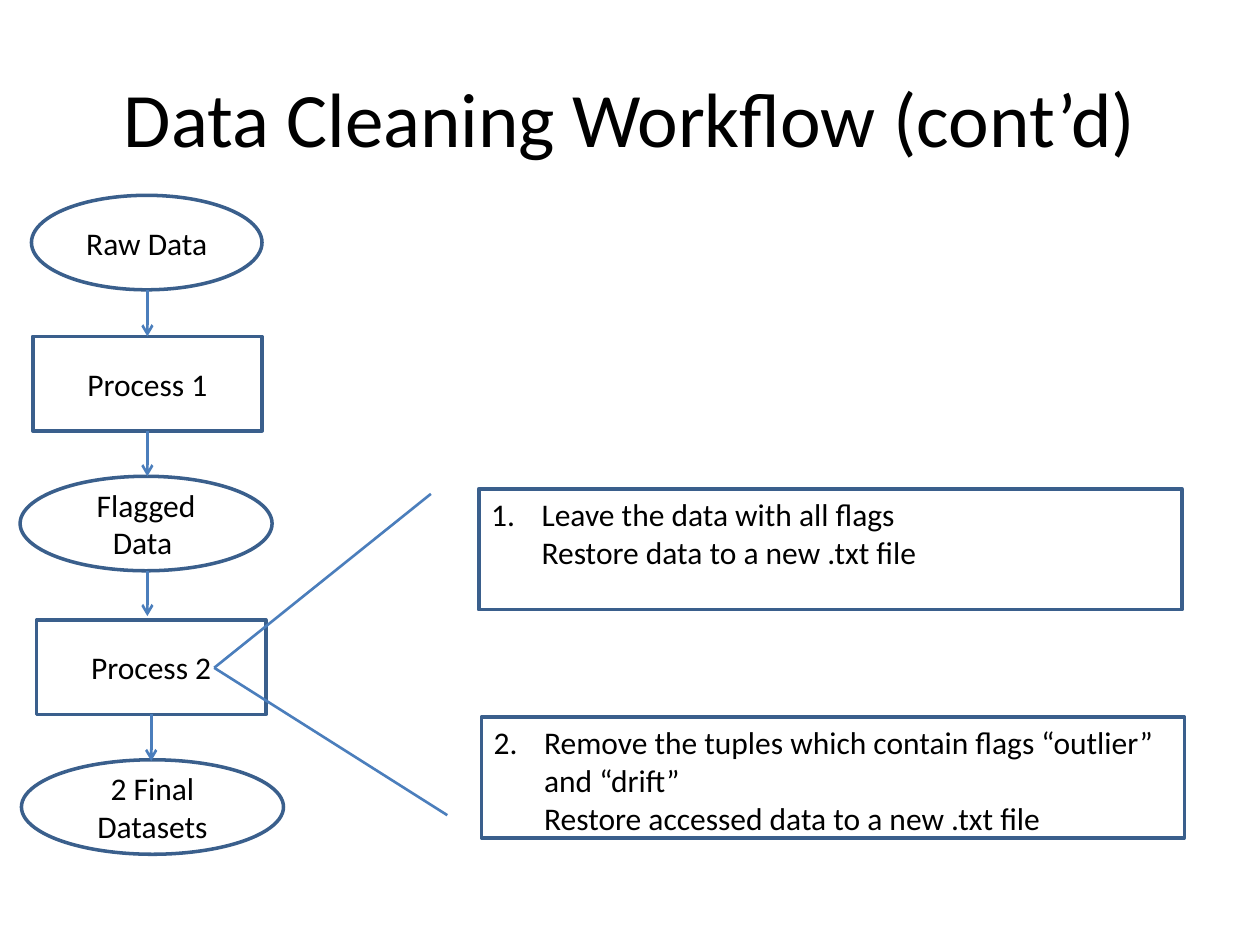
from pptx import Presentation
from pptx.dml.color import RGBColor
from pptx.enum import shapes, text
from pptx.oxml.ns import qn
from pptx.util import Inches, Pt
from lxml import etree

COLORS = {"text": "000000", "fill": "FFFFFF", "outline": "3A5F8C", "arrow": "4B7EBC"}
FONT = "Calibri"
OVAL = shapes.MSO_SHAPE.OVAL
RECT = shapes.MSO_SHAPE.RECTANGLE

prs = Presentation()
prs.slide_width, prs.slide_height = Inches(10), Inches(7.5)
slide = prs.slides.add_slide(prs.slide_layouts[5])


def add_box(kind, left, top, width, height, lines, align, anchor):
    box = slide.shapes.add_shape(kind, Inches(left), Inches(top), Inches(width), Inches(height))
    box.shadow.inherit = False
    if kind == OVAL:
        box.fill.solid()
        box.fill.fore_color.rgb = RGBColor.from_string(COLORS["fill"])
    else:
        box.fill.background()
    box.line.color.rgb = RGBColor.from_string(COLORS["outline"])
    box.line.width = Pt(2)
    frame = box.text_frame
    frame.word_wrap = True
    frame.vertical_anchor = anchor
    frame.text = "\n".join(lines)
    for paragraph in frame.paragraphs:
        paragraph.alignment = align
        for run in paragraph.runs:
            run.font.name, run.font.size = FONT, Pt(18)
            run.font.color.rgb = RGBColor.from_string(COLORS["text"])
    return box


def add_line(x1, y1, x2, y2, arrow=False):
    line = slide.shapes.add_connector(
        shapes.MSO_CONNECTOR.STRAIGHT, Inches(x1), Inches(y1), Inches(x2), Inches(y2))
    line.line.color.rgb = RGBColor.from_string(COLORS["arrow"])
    line.line.width = Pt(1.5)
    if arrow:
        etree.SubElement(line.line._get_or_add_ln(), qn("a:tailEnd"), type="arrow")
    etree.SubElement(line._element.spPr, qn("a:effectLst"))
    return line


# Title
title = slide.shapes.title
title.left, title.top, title.width, title.height = (Inches(v) for v in (0.5, 0.3, 9, 1.25))
title.text_frame.text = "Data Cleaning Workflow (cont’d)"
title.text_frame.vertical_anchor = text.MSO_ANCHOR.MIDDLE
heading = title.text_frame.paragraphs[0]
heading.alignment = text.PP_ALIGN.CENTER
heading.runs[0].font.name, heading.runs[0].font.size = FONT, Pt(44)
heading.runs[0].font.color.rgb = RGBColor.from_string(COLORS["text"])

# Workflow steps, from top to bottom
steps = {}
for label, kind, left, top, width in [
    ("Raw Data", OVAL, 0.25, 1.55, 1.83),
    ("Process 1", RECT, 0.26, 2.67, 1.82),
    ("Flagged Data ", OVAL, 0.16, 3.78, 2),
    ("Process 2", RECT, 0.29, 4.92, 1.82),
    ("2 Final Datasets", OVAL, 0.17, 6.03, 2.08),
]:
    steps[label] = add_box(kind, left, top, width, 0.75, [label],
                           text.PP_ALIGN.CENTER, text.MSO_ANCHOR.MIDDLE)

# Arrows between the steps
raw_arrow = add_line(1.17, 2.3, 1.17, 2.67, arrow=True)
raw_arrow.end_connect(steps["Process 1"], 0)
flag_arrow = add_line(1.17, 3.42, 1.17, 3.78, arrow=True)
flag_arrow.begin_connect(steps["Process 1"], 2)
add_line(1.17, 4.53, 1.17, 4.89, arrow=True)
final_arrow = add_line(1.2, 5.67, 1.2, 6.04, arrow=True)
final_arrow.begin_connect(steps["Process 2"], 2)

# Lines fanning out from Process 2 to its details
for x, y in [(3.42, 3.92), (3.55, 6.47)]:
    add_line(1.7, 5.3, x, y)

# Details of Process 2, with hanging numbers
for left, top, lines in [
    (3.8, 3.88, ["1.\tLeave the data with all flags",
                 "Restore data to a new .txt file"]),
    (3.82, 5.69, ["2.\tRemove the tuples which contain flags “outlier” and “drift”",
                  "Restore accessed data to a new .txt file"]),
]:
    detail = add_box(RECT, left, top, 5.58, 0.96, lines,
                     text.PP_ALIGN.LEFT, text.MSO_ANCHOR.TOP)
    for number, paragraph in enumerate(detail.text_frame.paragraphs):
        properties = paragraph._p.get_or_add_pPr()
        properties.set("marL", str(Inches(0.4)))
        properties.set("indent", str(Inches(-0.4 if number == 0 else 0)))

prs.save("out.pptx")
